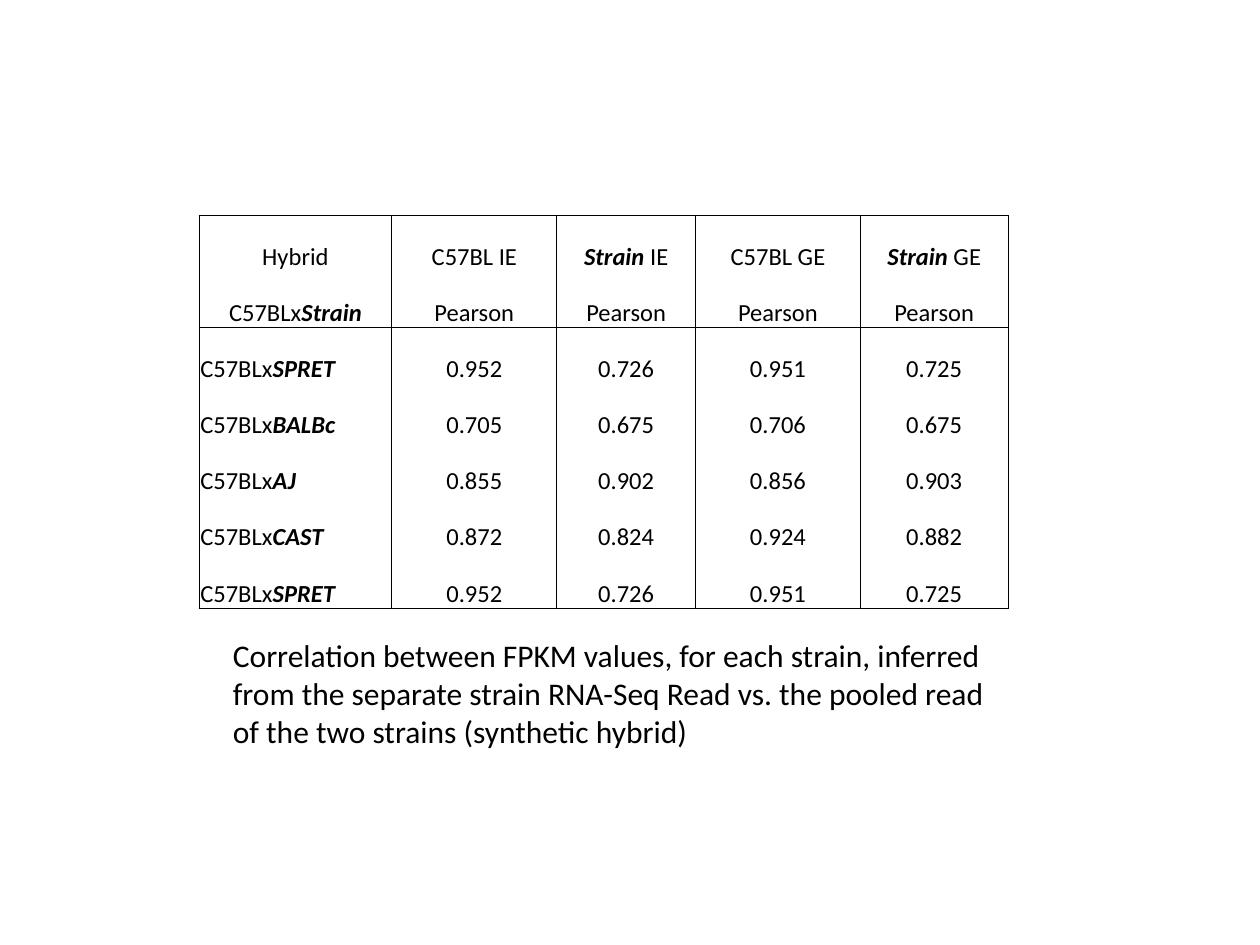
import pptx
import pptx.dml.color
import pptx.enum.text
import pptx.oxml
import pptx.oxml.ns
import pptx.util
from pptx.util import Inches

FONT = "Calibri"
BLACK = "000000"
COLUMN_WIDTHS = [1.53, 1.31, 1.1, 1.31, 1.17]
TABLE_HEIGHT = 3.12
HEADER_ROWS = 2
# Asterisks enclose the bold italic strain names.
ROWS = [
    ["Hybrid", "C57BL IE", "*Strain* IE", "C57BL GE", "*Strain* GE"],
    ["C57BLx*Strain*"] + ["Pearson"] * 4,
    ["C57BLx*SPRET*", "0.952", "0.726", "0.951", "0.725"],
    ["C57BLx*BALBc*", "0.705", "0.675", "0.706", "0.675"],
    ["C57BLx*AJ*", "0.855", "0.902", "0.856", "0.903"],
    ["C57BLx*CAST*", "0.872", "0.824", "0.924", "0.882"],
    ["C57BLx*SPRET*", "0.952", "0.726", "0.951", "0.725"],
]
CAPTION = (
    "Correlation between FPKM values, for each strain, inferred from the "
    "separate strain RNA-Seq Read vs. the pooled read of the two strains "
    "(synthetic hybrid)"
)


def color(value):
    """Return the colour for a hex string."""
    return pptx.dml.color.RGBColor.from_string(value)


def add_runs(para, text, size):
    """Add text run by run, with bold italics between asterisks."""
    for index, part in enumerate(text.split("*")):
        if part:
            span = para.add_run()
            span.text = part
            span.font.name = FONT
            span.font.size = pptx.util.Pt(size)
            span.font.color.rgb = color(BLACK)
            span.font.bold = span.font.italic = index % 2 == 1


def set_borders(cell, sides):
    """Draw thin lines on the given sides of a cell and hide the others."""
    properties = cell._tc.get_or_add_tcPr()
    namespace = pptx.oxml.ns.nsdecls("a")
    for side in "LRTB":
        fill = "<a:noFill/>"
        if side in sides:
            fill = f'<a:solidFill><a:srgbClr val="{BLACK}"/></a:solidFill>'
        properties.append(pptx.oxml.parse_xml(
            f'<a:ln{side} {namespace} w="{pptx.util.Pt(0.5)}">{fill}</a:ln{side}>'
        ))


def fill_cell(cell, text, centered, sides):
    """Write and format one table cell."""
    cell.margin_left = cell.margin_right = cell.margin_top = Inches(0.01)
    cell.margin_bottom = 0
    cell.vertical_anchor = pptx.enum.text.MSO_ANCHOR.BOTTOM
    set_borders(cell, sides)
    cell.fill.background()
    para = cell.text_frame.paragraphs[0]
    align = pptx.enum.text.PP_ALIGN
    para.alignment = align.CENTER if centered else align.LEFT
    add_runs(para, text, 14)


def add_correlation_table(page):
    """Add the table of Pearson correlations."""
    table = page.shapes.add_table(
        len(ROWS), len(COLUMN_WIDTHS), Inches(1.58), Inches(1.71),
        Inches(sum(COLUMN_WIDTHS)), Inches(TABLE_HEIGHT),
    ).table
    table.first_row = table.horz_banding = False
    for column, width in zip(table.columns, COLUMN_WIDTHS):
        column.width = Inches(width)
    for r, texts in enumerate(ROWS):
        table.rows[r].height = Inches(TABLE_HEIGHT / len(ROWS))
        sides = "LR"
        if r in (0, HEADER_ROWS):
            sides += "T"
        if r in (HEADER_ROWS - 1, len(ROWS) - 1):
            sides += "B"
        for c, text in enumerate(texts):
            fill_cell(table.cell(r, c), text, c > 0 or r < HEADER_ROWS, sides)


def add_caption(page):
    """Add the caption below the table."""
    box = page.shapes.add_textbox(Inches(1.75), Inches(5), Inches(6.42), Inches(1.01))
    frame = box.text_frame
    frame.word_wrap = True
    frame.auto_size = pptx.enum.text.MSO_AUTO_SIZE.SHAPE_TO_FIT_TEXT
    add_runs(frame.paragraphs[0], CAPTION, 18)


def main():
    """Build the slide and save it."""
    deck = pptx.Presentation()
    deck.slide_width, deck.slide_height = Inches(10), Inches(7.5)
    page = deck.slides.add_slide(deck.slide_layouts[6])
    add_caption(page)
    add_correlation_table(page)
    deck.save("out.pptx")


if __name__ == "__main__":
    main()
